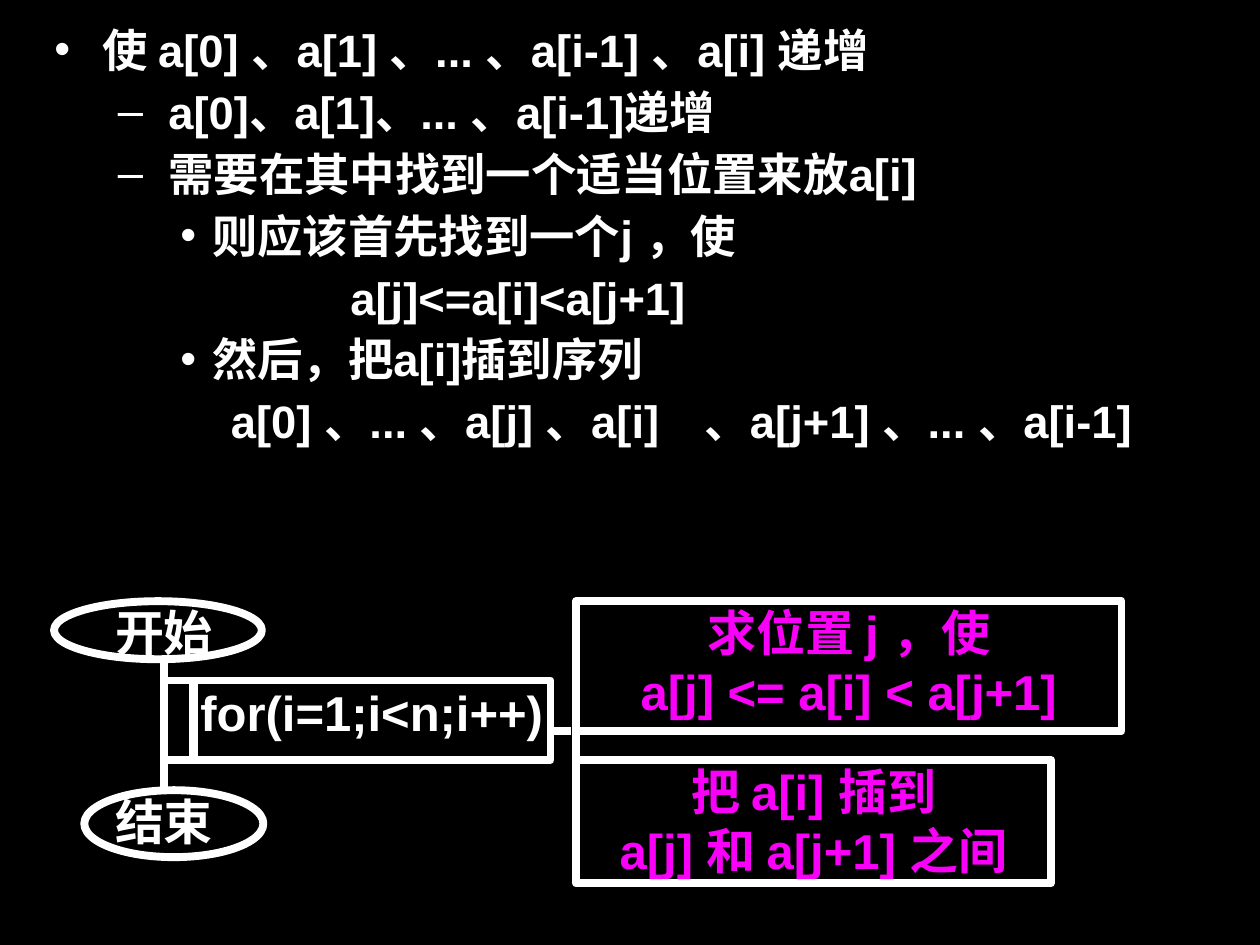
"""Build the insertion-sort slide: reasoning bullets above a structured flow diagram."""
from lxml.etree import SubElement
from pptx import Presentation
from pptx.dml.color import RGBColor
from pptx.enum.shapes import MSO_CONNECTOR, MSO_SHAPE
from pptx.enum.text import MSO_ANCHOR, MSO_AUTO_SIZE, PP_ALIGN
from pptx.oxml.ns import qn
from pptx.util import Cm, Pt

COLORS = {"back": "000000", "ink": "FFFFFF", "step": "F900F9"}

OUTLINE = [
    ("使 a[0] 、a[1] 、... 、a[i-1] 、a[i] 递增", 0, "•", 0.97, -0.97),
    ("a[0]、a[1]、... 、a[i-1]递增", 1, "–", 2.3, -1.02),
    ("需要在其中找到一个适当位置来放a[i]", 1, "–", 2.3, -1.02),
    ("则应该首先找到一个j ，使", 2, "•", 3.18, -0.64),
    ("a[j]<=a[i]<a[j+1]", 2, None, 5.97, 0),
    ("然后，把a[i]插到序列", 2, "•", 3.18, -0.64),
    ("a[0] 、... 、a[j] 、a[i]　、a[j+1] 、... 、a[i-1]", 2, None, 3.18, 0.38),
]


def rgb(name):
    return RGBColor.from_string(COLORS[name])


def write(p, text, size=28, color="ink", align=PP_ALIGN.LEFT, font="Arial"):
    """Put one formatted run into a paragraph."""
    p.alignment = align
    r = p.add_run()
    r.text = text
    r.font.name = font
    r.font.size = Pt(size)
    r.font.bold = True
    r.font.color.rgb = rgb(color)


class Deck:
    """Hold the line style and the current slide."""

    def __init__(self, prs, line_width=4.5):
        self.line_width = Pt(line_width)
        self.s = prs.slides.add_slide(prs.slide_layouts[1])
        fill = self.s.background.fill
        fill.solid()
        fill.fore_color.rgb = rgb("back")
        title = self.s.shapes.title.element
        title.getparent().remove(title)

    def stroke(self, line):
        line.color.rgb = rgb("ink")
        line.width = self.line_width

    def fill_text(self, tf, lines, **fmt):
        tf.word_wrap = True
        tf.vertical_anchor = MSO_ANCHOR.TOP
        tf.margin_left = tf.margin_right = tf.margin_top = tf.margin_bottom = Cm(0.03)
        for i, text in enumerate(lines):
            write(tf.add_paragraph() if i else tf.paragraphs[0], text, **fmt)

    def body(self, x, y, w, h, items):
        sp = self.s.placeholders[1]
        sp.left, sp.top, sp.width, sp.height = Cm(x), Cm(y), Cm(w), Cm(h)
        tf = sp.text_frame
        tf.auto_size = MSO_AUTO_SIZE.NONE
        tf.vertical_anchor = MSO_ANCHOR.TOP
        for i, (text, level, bullet, margin, indent) in enumerate(items):
            p = tf.add_paragraph() if i else tf.paragraphs[0]
            p.level = level
            pPr = p._p.get_or_add_pPr()
            pPr.set("marL", str(Cm(margin)))
            pPr.set("indent", str(Cm(indent)))
            if bullet:
                clr = SubElement(pPr, qn("a:buClr"))
                SubElement(clr, qn("a:srgbClr"), val=COLORS["ink"])
                SubElement(pPr, qn("a:buChar"), char=bullet)
            else:
                SubElement(pPr, qn("a:buNone"))
            p.line_spacing = 0.8
            p.space_before = Pt(7 if i else 0)
            p.space_after = Pt(3.5)
            write(p, text, size=25.9)

    def label(self, x, y, w, h, text):
        sp = self.s.shapes.add_textbox(Cm(x), Cm(y), Cm(w), Cm(h))
        self.fill_text(sp.text_frame, [text])

    def shape(self, kind, x, y, w, h, lines=(), color="ink"):
        sp = self.s.shapes.add_shape(kind, Cm(x), Cm(y), Cm(w), Cm(h))
        sp.shadow.inherit = False
        sp.fill.background()
        self.stroke(sp.line)
        self.fill_text(sp.text_frame, lines, color=color, align=PP_ALIGN.CENTER)

    def line(self, x1, y1, x2, y2):
        c = self.s.shapes.add_connector(
            MSO_CONNECTOR.STRAIGHT, Cm(x1), Cm(y1), Cm(x2), Cm(y2))
        self.stroke(c.line)
        SubElement(c._element.spPr, qn("a:effectLst"))


def main():
    prs = Presentation()
    prs.slide_width, prs.slide_height = Cm(25.4), Cm(19.05)
    deck = Deck(prs)
    deck.body(0.84, 0.53, 23.72, 11, OUTLINE)

    top, end, trunk, branch, loop = 12.12, 15.93, 3.3, 11.61, 13.72
    deck.label(2.29, top, 2.13, 1.09, "开始")
    deck.shape(MSO_SHAPE.OVAL, 1.09, top, 4.19, 1.17)
    deck.shape(MSO_SHAPE.RECTANGLE, trunk, loop, 0.61, 1.6)
    deck.shape(MSO_SHAPE.RECTANGLE, 3.89, loop, 7.21, 1.6, ["for(i=1;i<n;i++)"])
    deck.line(11.1, 14.73, 11.51, 14.73)
    deck.line(trunk, 13.34, trunk, end)
    deck.shape(MSO_SHAPE.OVAL, 1.7, end, 3.61, 1.35)
    deck.label(2.29, end, 2.26, 1.09, "结束")
    deck.shape(MSO_SHAPE.RECTANGLE, branch, top, 11, 2.62,
               ["求位置 j ，使", "a[j] <= a[i] < a[j+1]"], color="step")
    deck.line(branch, top, branch, 17.73)
    deck.shape(MSO_SHAPE.RECTANGLE, branch, 15.32, 9.58, 2.49,
               ["把 a[i] 插到", "a[j] 和 a[j+1] 之间"], color="step")
    prs.save("out.pptx")


if __name__ == "__main__":
    main()
